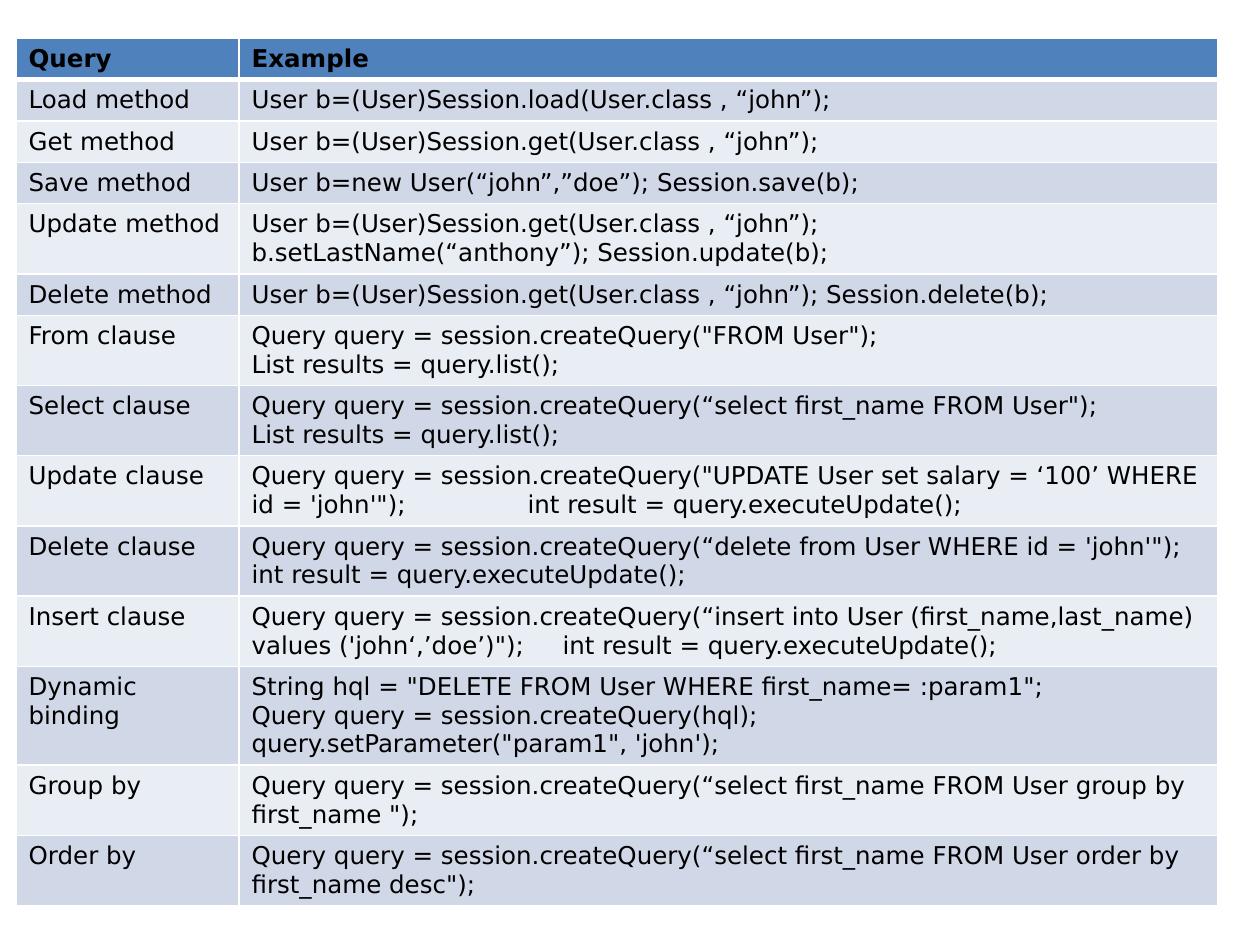
from lxml import etree
from pptx import Presentation
from pptx.dml.color import RGBColor
from pptx.oxml.ns import qn
from pptx.util import Emu, Pt

EMU_PER_PIXEL = 914400 // 126
BLANK_LAYOUT = 6

ROWS = [
    ("Query", ["Example"]),
    ("Load method", ["User b=(User)Session.load(User.class , “john”);"]),
    ("Get method", ["User b=(User)Session.get(User.class , “john”);"]),
    ("Save method", ["User b=new User(“john”,”doe”); Session.save(b);"]),
    ("Update method", ["User b=(User)Session.get(User.class , “john”);",
                       "b.setLastName(“anthony”); Session.update(b);"]),
    ("Delete method", ["User b=(User)Session.get(User.class , “john”); Session.delete(b);"]),
    ("From clause", ['Query query = session.createQuery("FROM User");',
                     "List results = query.list();"]),
    ("Select clause", ['Query query = session.createQuery(“select first_name FROM User");',
                       "List results = query.list();"]),
    ("Update clause", ['Query query = session.createQuery("UPDATE User set salary = ‘100’ '
                       "WHERE id = 'john'\");\tint result = query.executeUpdate();"]),
    ("Delete clause", ["Query query = session.createQuery(“delete from User WHERE id = 'john'\");",
                       "int result = query.executeUpdate();"]),
    ("Insert clause", ["Query query = session.createQuery(“insert into User (first_name,last_name) "
                       "values ('john‘,’doe’)\");\tint result = query.executeUpdate();"]),
    ("Dynamic binding", ['String hql = "DELETE FROM User WHERE first_name= :param1";',
                         "Query query = session.createQuery(hql);",
                         "query.setParameter(\"param1\", 'john');"]),
    ("Group by", ['Query query = session.createQuery(“select first_name FROM User group by first_name ");']),
    ("Order by", ['Query query = session.createQuery(“select first_name FROM User order by first_name desc");']),
]
ROW_HEIGHTS = [38, 38, 38, 38, 63, 38, 63, 63, 63, 63, 63, 88, 63, 63]
RESULT_TABS = {"Update clause": 276, "Insert clause": 311}


def color(value):
    return RGBColor.from_string(value)


def pixels(value):
    return Emu(value * EMU_PER_PIXEL)


class SlideBuilder:
    font_name = "DejaVu Sans"
    font_size = 14
    text_color = "000000"
    border_color = "FFFFFF"
    header_fill = "4F81BD"
    band_fills = ("E9EDF4", "D0D8E8")

    def __init__(self, presentation):
        self.slide = presentation.slides.add_slide(presentation.slide_layouts[BLANK_LAYOUT])

    def table(self, left, top, height, column_widths, row_heights, rows, tabs):
        frame = self.slide.shapes.add_table(
            len(rows), len(column_widths), pixels(left), pixels(top),
            pixels(sum(column_widths)), pixels(height))
        table = frame.table
        for column, width in zip(table.columns, column_widths):
            column.width = pixels(width)
        for index, (label, examples) in enumerate(rows):
            table.rows[index].height = pixels(row_heights[index])
            header = index == 0
            fill = self.header_fill if header else self.band_fills[index % 2]
            self.cell(table.cell(index, 0), [label], fill, header)
            self.cell(table.cell(index, 1), examples, fill, header, tabs.get(label))
        frame.height = pixels(height)

    def cell(self, cell, lines, fill, header, tab=None):
        cell.fill.solid()
        cell.fill.fore_color.rgb = color(fill)
        self.borders(cell, 3 if header else 1)
        cell.text_frame.text = "\n".join(lines)
        for paragraph in cell.text_frame.paragraphs:
            font = paragraph.font
            font.name = self.font_name
            font.size = Pt(self.font_size)
            font.bold = header
            font.color.rgb = color(self.text_color)
            if tab:
                self.tab_stop(paragraph, tab)

    def borders(self, cell, bottom_width):
        properties = cell._tc.get_or_add_tcPr()
        widths = {"a:lnL": 1, "a:lnR": 1, "a:lnT": 1, "a:lnB": bottom_width}
        for index, (tag, width) in enumerate(widths.items()):
            line = etree.Element(qn(tag), w=str(Pt(width)))
            fill = etree.SubElement(line, qn("a:solidFill"))
            etree.SubElement(fill, qn("a:srgbClr"), val=self.border_color)
            properties.insert(index, line)

    def tab_stop(self, paragraph, position):
        tab_list = etree.Element(qn("a:tabLst"))
        etree.SubElement(tab_list, qn("a:tab"), pos=str(pixels(position)), algn="l")
        paragraph._p.get_or_add_pPr().insert(0, tab_list)


presentation = Presentation()
presentation.slide_width = pixels(1260)
presentation.slide_height = pixels(945)
builder = SlideBuilder(presentation)
builder.table(16, 38, 882, [223, 979], ROW_HEIGHTS, ROWS, RESULT_TABS)
presentation.save("out.pptx")
